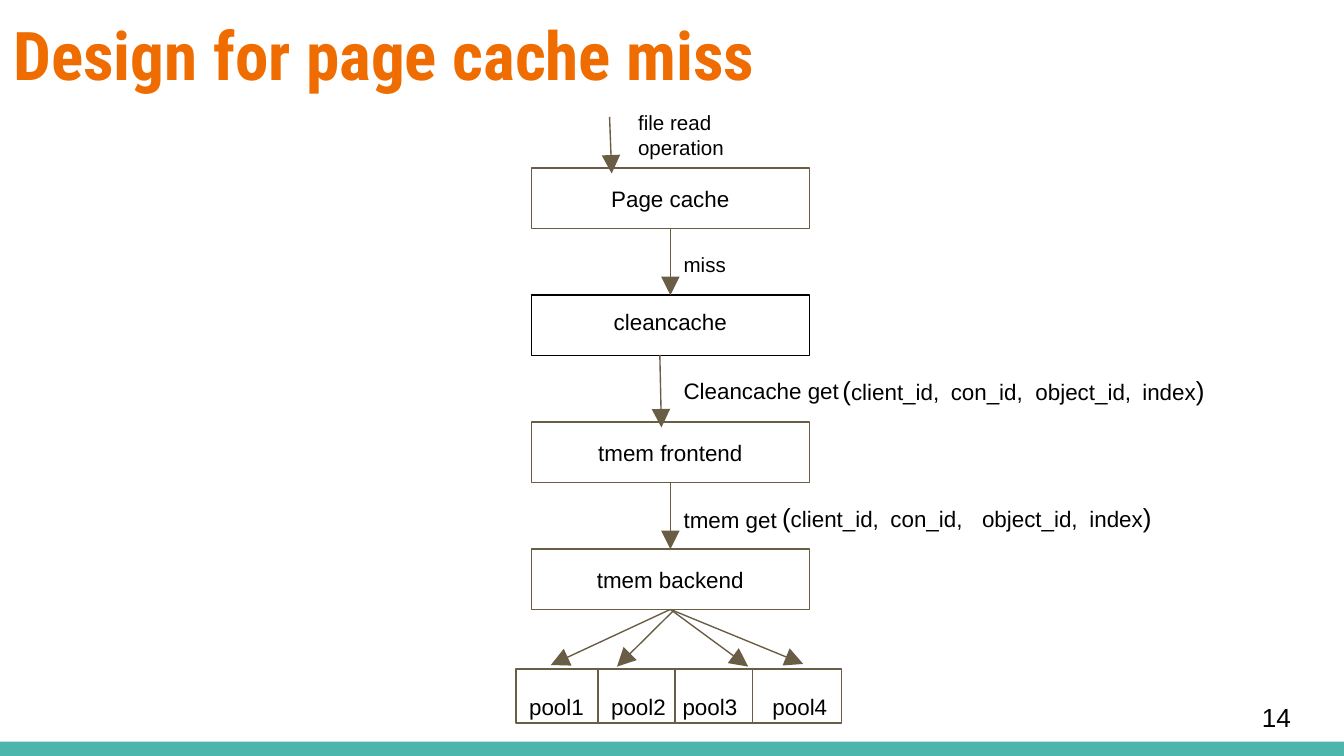
from dataclasses import dataclass

from pptx import Presentation
from pptx.dml.color import RGBColor
from pptx.enum.shapes import MSO_CONNECTOR, MSO_SHAPE
from pptx.enum.text import MSO_ANCHOR, MSO_AUTO_SIZE, PP_ALIGN
from pptx.oxml.ns import qn
from pptx.util import Cm, Pt
from lxml.etree import SubElement


@dataclass(frozen=True)
class Theme:
    """Colours, fonts and sizes of the slide."""
    heading: RGBColor = RGBColor(0xEF, 0x6C, 0x00)
    accent: RGBColor = RGBColor(0x4D, 0xB6, 0xAC)
    outline: RGBColor = RGBColor(0x69, 0x5D, 0x46)
    ink: RGBColor = RGBColor(0, 0, 0)
    paper: RGBColor = RGBColor(0xFF, 0xFF, 0xFF)
    heading_font: str = "Roboto Condensed"
    body_font: str = "Arial"
    heading_size: int = 36
    large: int = 14
    body: int = 12
    small: int = 11
    line: float = 0.75
    inset: float = 0.25


THEME = Theme()
BOX_LEFT, BOX_TOP, BOX_WIDTH, BOX_HEIGHT, BOX_STEP = 10.04, 3.18, 5.26, 1.14, 2.4
STAGES = ["Page cache", "cleancache", "tmem frontend", "tmem backend"]
POOLS = [("pool1", 9.75, 1.55), ("pool2", 11.3, 1.55),
         ("pool3", 12.65, 1.7), ("pool4", 14.35, 1.7)]
LABELS = [("file read operation", 11.81, 1.83, 2.51, 1.14, THEME.small),
          ("miss", 12.67, 4.52, 1.47, 0.84, THEME.small),
          ("Cleancache get", 12.67, 6.88, 3.51, 0.94, THEME.body),
          ("tmem get", 12.67, 9.32, 2.74, 0.84, THEME.body)]
ARGUMENTS = ["client_id,", "con_id,", "object_id,", "index"]


def prepare_frame(frame, anchor):
    """Set insets, wrapping and anchor of a text frame."""
    frame.word_wrap = True
    frame.auto_size = MSO_AUTO_SIZE.NONE
    frame.vertical_anchor = anchor
    frame.margin_left = frame.margin_right = Cm(THEME.inset)
    frame.margin_top = frame.margin_bottom = Cm(THEME.inset)


def add_span(para, text, size, font=THEME.body_font, color=THEME.ink, bold=False):
    """Append one formatted run to a paragraph."""
    span = para.add_run()
    span.text = text
    span.font.size = Pt(size)
    span.font.name = font
    span.font.color.rgb = color
    span.font.bold = bold


def set_title(page, text):
    """Place and fill the title placeholder."""
    title = page.shapes.title
    title.left, title.top, title.width, title.height = Cm(0), Cm(0), Cm(25.25), Cm(1.52)
    prepare_frame(title.text_frame, MSO_ANCHOR.TOP)
    para = title.text_frame.paragraphs[0]
    para.alignment = PP_ALIGN.LEFT
    add_span(para, text, THEME.heading_size, THEME.heading_font, THEME.heading, True)


def add_box(page, left, top, width, height, fill=THEME.paper, line=THEME.outline):
    """Add a rectangle, with no fill or line where None is given."""
    box = page.shapes.add_shape(MSO_SHAPE.RECTANGLE, Cm(left), Cm(top), Cm(width), Cm(height))
    box.shadow.inherit = False
    if fill is None:
        box.fill.background()
    else:
        box.fill.solid()
        box.fill.fore_color.rgb = fill
    if line is None:
        box.line.fill.background()
    else:
        box.line.color.rgb = line
        box.line.width = Pt(THEME.line)
    return box


def add_stage(page, index, text):
    """Add one captioned stage of the lookup chain."""
    plain = text == "cleancache"
    box = add_box(page, BOX_LEFT, BOX_TOP + index * BOX_STEP, BOX_WIDTH, BOX_HEIGHT,
                  None if plain else THEME.paper, THEME.ink if plain else THEME.outline)
    prepare_frame(box.text_frame, MSO_ANCHOR.TOP if plain else MSO_ANCHOR.MIDDLE)
    para = box.text_frame.paragraphs[0]
    para.alignment = PP_ALIGN.CENTER
    add_span(para, text, THEME.body)
    return box


def add_label(page, left, top, width, height, spans, anchor=MSO_ANCHOR.TOP):
    """Add a text box from (text, size) pairs and return its paragraph."""
    box = page.shapes.add_textbox(Cm(left), Cm(top), Cm(width), Cm(height))
    prepare_frame(box.text_frame, anchor)
    para = box.text_frame.paragraphs[0]
    for text, size in spans:
        add_span(para, text, size)
    return para


def add_arguments(page, left, top, width, stops, anchor):
    """Add the bracketed call arguments, aligned on tab stops."""
    spans = [("(", THEME.large), ("\t".join(ARGUMENTS), THEME.body), (")", THEME.large)]
    para = add_label(page, left, top, width, 0.84, spans, anchor)
    tabs = SubElement(para._p.get_or_add_pPr(), qn("a:tabLst"))
    for stop in stops:
        SubElement(tabs, qn("a:tab"), pos=str(Cm(stop)), algn="l")


def add_line(page, start, end, arrow=True):
    """Add a straight line, by default with an arrowhead at its end."""
    line = page.shapes.add_connector(MSO_CONNECTOR.STRAIGHT, *map(Cm, start + end))
    line.line.color.rgb = THEME.outline
    line.line.width = Pt(THEME.line)
    if arrow:
        SubElement(line.line._get_or_add_ln(), qn("a:tailEnd"), type="triangle", w="lg", len="lg")
    SubElement(line._element.spPr, qn("a:effectLst"))
    return line


def add_chain(page):
    """Add the stages and the arrows between them."""
    boxes = [add_stage(page, index, text) for index, text in enumerate(STAGES)]
    middle = BOX_LEFT + BOX_WIDTH / 2
    for upper in (0, 2):
        top = BOX_TOP + upper * BOX_STEP
        arrow = add_line(page, (middle, top + BOX_HEIGHT), (middle, top + BOX_STEP))
        arrow.begin_connect(boxes[upper], 2)
        arrow.end_connect(boxes[upper + 1], 0)
    add_line(page, (11.52, 2.21), (11.56, 3.28))
    add_line(page, (12.47, 6.71), (12.5, 8.08))
    return boxes[-1]


def add_pools(page, backend):
    """Add the divided pool row and the arrows fanning out to it."""
    add_box(page, 9.75, 12.65, 6.15, 1.02)
    for index in range(1, len(POOLS)):
        x = 9.84 + 1.46 * index
        add_line(page, (x, 12.62), (x, 13.66), arrow=False)
    for name, left, width in POOLS:
        add_label(page, left, 12.85, width, 0.84, [(name, THEME.body)])
    for target in [(15.18, 12.55), (14.14, 12.6), (10.41, 12.57)]:
        add_line(page, (12.67, 11.52), target).begin_connect(backend, 2)
    add_line(page, (12.75, 11.52), (11.66, 12.6))


def main():
    """Build the slide and save it."""
    deck = Presentation()
    deck.slide_width, deck.slide_height = Cm(25.4), Cm(14.29)
    page = deck.slides.add_slide(deck.slide_layouts[5])
    add_box(page, 0, 14.02, 25.4, 0.27, THEME.accent, None)
    set_title(page, "Design for page cache miss")
    add_pools(page, add_chain(page))
    for text, left, top, width, height, size in LABELS:
        add_label(page, left, top, width, height, [(text, size)])
    add_arguments(page, 15.67, 6.83, 7.52, (2.05, 3.65, 5.67), MSO_ANCHOR.TOP)
    add_arguments(page, 14.53, 9.35, 7.77, (2.05, 3.78, 5.81), MSO_ANCHOR.MIDDLE)
    add_label(page, 23.6, 13, 1.52, 1.09, [("14", THEME.large)], MSO_ANCHOR.MIDDLE)
    deck.save("out.pptx")


if __name__ == "__main__":
    main()
